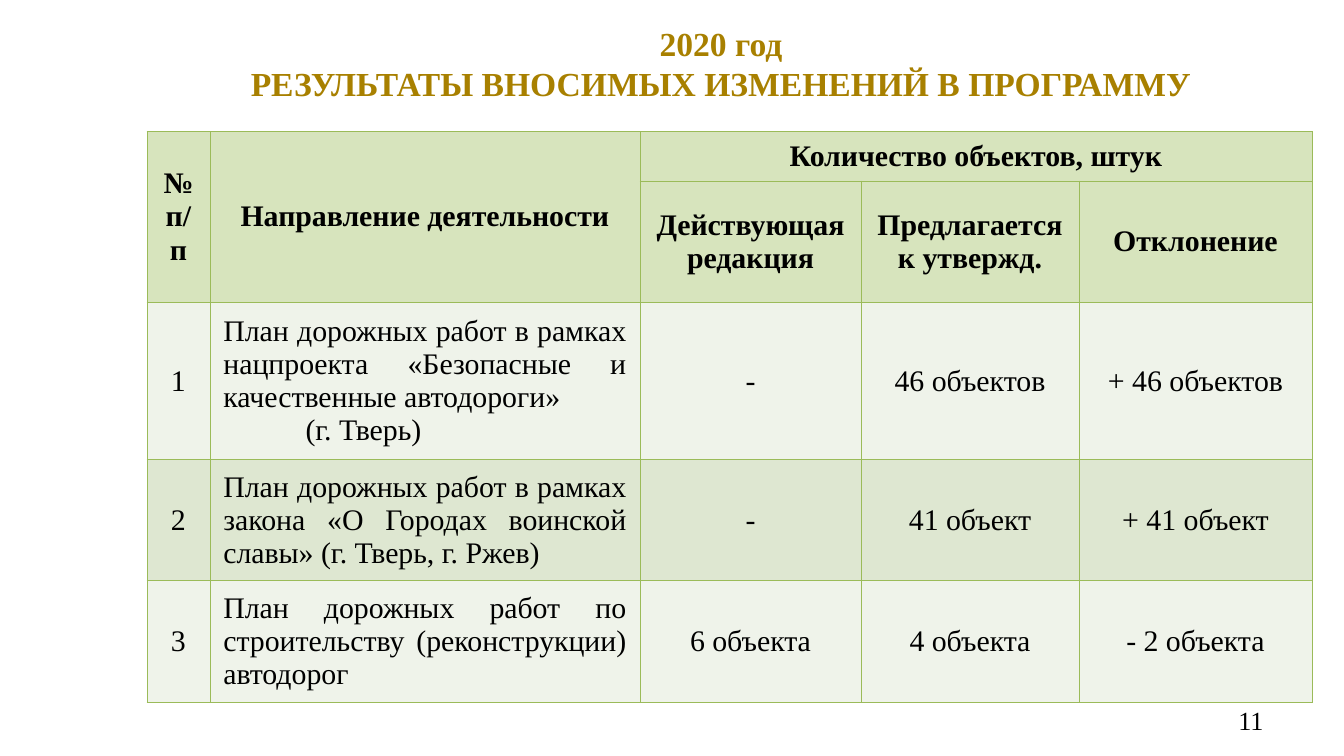
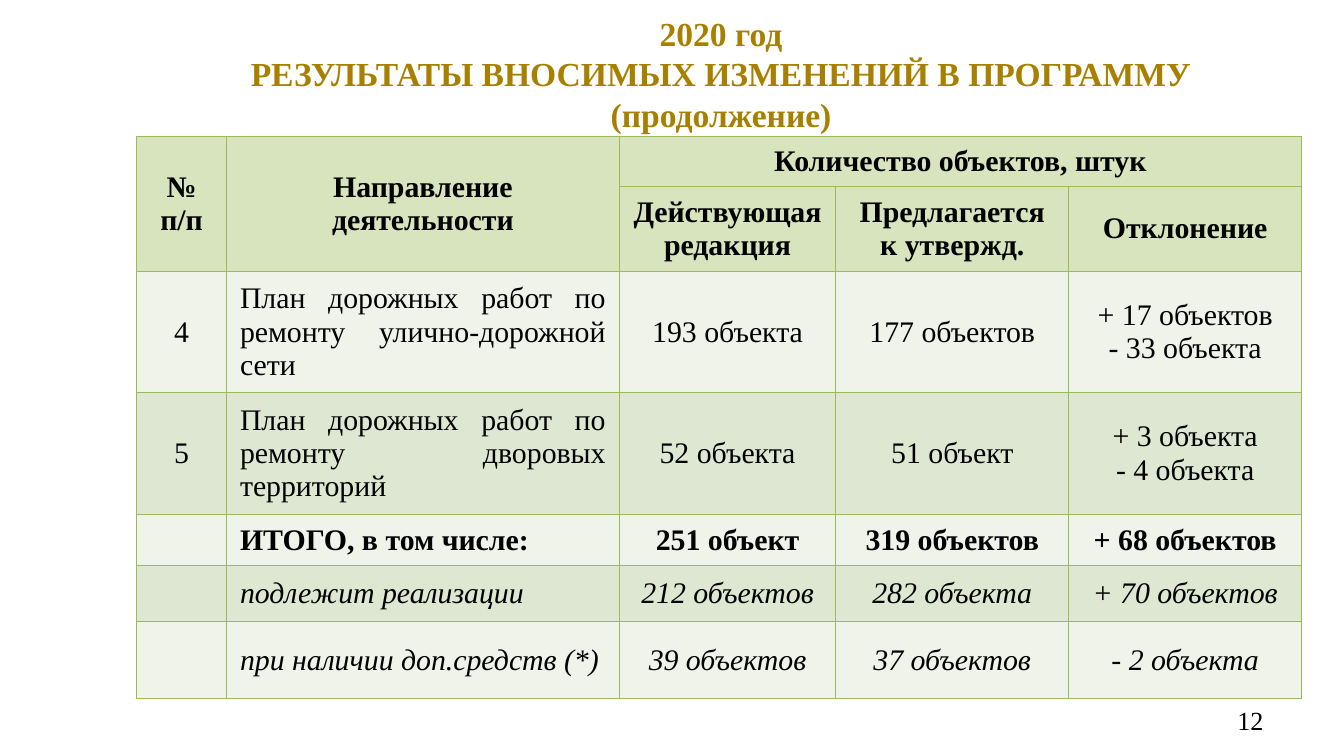
from lxml.etree import SubElement
from pptx import Presentation
from pptx.dml.color import RGBColor
from pptx.enum.text import MSO_ANCHOR, MSO_AUTO_SIZE, PP_ALIGN
from pptx.oxml.ns import qn
from pptx.util import Pt

FONT = "Times New Roman"
BLACK = "000000"
GOLD = "A88000"
HEADER_FILL = "D7E4BD"
BAND_FILLS = ("EFF3EA", "DEE7D1")
BORDER = "9BBB59"
BORDER_WIDTH = Pt(0.45)
HEADING = ["2020 год", "РЕЗУЛЬТАТЫ ВНОСИМЫХ ИЗМЕНЕНИЙ В ПРОГРАММУ"]
HEADER_ROWS = [
    ["№ п/п", "Направление деятельности", "Количество объектов, штук", "", ""],
    ["", "", "Действующая редакция", "Предлагается к утвержд.", "Отклонение"],
]
FIRST_PLANS = [
    ["1", "План дорожных работ в рамках нацпроекта «Безопасные и качественные автодороги»\n(г. Тверь)",
     "-", "46 объектов", "+ 46 объектов"],
    ["2", "План дорожных работ в рамках закона «О Городах воинской славы» (г. Тверь, г. Ржев)",
     "-", "41 объект", "+ 41 объект"],
    ["3", "План дорожных работ по строительству (реконструкции) автодорог",
     "6 объекта", "4 объекта", "- 2 объекта"],
]
LAST_PLANS = [
    ["4", "План дорожных работ по ремонту улично-дорожной сети",
     "193 объекта", "177 объектов", "+ 17 объектов\n- 33 объекта"],
    ["5", "План дорожных работ по ремонту дворовых территорий",
     "52 объекта", "51 объект", "+ 3 объекта\n- 4 объекта"],
    ["", "ИТОГО, в том числе:", "251 объект", "319 объектов", "+ 68 объектов"],
    ["", "подлежит реализации", "212 объектов", "282 объекта", "+ 70 объектов"],
    ["", "при наличии доп.средств (*)", "39 объектов", "37 объектов", "- 2 объекта"],
]


def color(value):
    """Turn a hex string into a colour."""
    return RGBColor.from_string(value)


def write_lines(frame, lines, size, align, ink=BLACK, bold=False, italic=False):
    """Write each line as a paragraph of one run."""
    for index, line in enumerate(lines):
        para = frame.add_paragraph() if index else frame.paragraphs[0]
        para.alignment = align
        span = para.add_run()
        span.text = line
        span.font.name = FONT
        span.font.size = Pt(size)
        span.font.bold = bold
        span.font.italic = italic
        span.font.color.rgb = color(ink)


def add_page(deck, number, heading, top, height):
    """Add a page with its title and page number."""
    page = deck.slides.add_slide(deck.slide_layouts[5])
    title = page.shapes.title
    title.left, title.top, title.width, title.height = Pt(78.5), Pt(top), Pt(615.6), Pt(height)
    box = page.shapes.add_textbox(Pt(516.2), Pt(375.1), Pt(167.8), Pt(21.6))
    for shape in (title, box):
        shape.text_frame.word_wrap = True
        shape.text_frame.auto_size = MSO_AUTO_SIZE.NONE
        shape.text_frame.vertical_anchor = MSO_ANCHOR.MIDDLE
    write_lines(title.text_frame, heading, 18, PP_ALIGN.CENTER, GOLD, bold=True)
    write_lines(box.text_frame, [number], 14, PP_ALIGN.RIGHT)
    return page


def style_cell(cell, fill):
    """Give a cell its borders, fill and anchor."""
    properties = cell._tc.get_or_add_tcPr()
    for side in ("a:lnL", "a:lnR", "a:lnT", "a:lnB"):
        line = SubElement(properties, qn(side), w=str(BORDER_WIDTH))
        SubElement(SubElement(line, qn("a:solidFill")), qn("a:srgbClr"), val=BORDER)
    cell.fill.solid()
    cell.fill.fore_color.rgb = color(fill)
    cell.vertical_anchor = MSO_ANCHOR.MIDDLE


def write_cell(cell, text, align, bold, italic):
    """Write a table cell, keeping the text size when it is empty."""
    if text:
        write_lines(cell.text_frame, text.split("\n"), 16, align, bold=bold, italic=italic)
    else:
        SubElement(cell.text_frame.paragraphs[0]._p, qn("a:endParaRPr"), sz="1600")


def add_plan_table(page, left, top, widths, heights, plans):
    """Add a table of plans under the shared two-row header."""
    rows = HEADER_ROWS + plans
    table = page.shapes.add_table(len(rows), len(widths), Pt(left), Pt(top),
                                  Pt(sum(widths)), Pt(sum(heights))).table
    for column, width in zip(table.columns, widths):
        column.width = Pt(width)
    for row, height in zip(table.rows, heights):
        row.height = Pt(height)
    for row_index, texts in enumerate(rows):
        is_header = row_index < len(HEADER_ROWS)
        is_summary = not is_header and not texts[0]
        is_total = is_summary and texts[1].startswith("ИТОГО")
        for column_index, text in enumerate(texts):
            cell = table.cell(row_index, column_index)
            align = PP_ALIGN.CENTER
            if column_index == 1 and not is_header:
                align = PP_ALIGN.LEFT if is_summary else PP_ALIGN.JUSTIFY
            style_cell(cell, HEADER_FILL if is_header else BAND_FILLS[row_index % 2])
            write_cell(cell, text, align, is_header or is_total, is_summary and not is_total)
    for column_index in (0, 1):
        table.cell(0, column_index).merge(table.cell(1, column_index))
    table.cell(0, 2).merge(table.cell(0, 4))
    return table


def main():
    """Build both pages and save the deck."""
    deck = Presentation()
    deck.slide_width, deck.slide_height = Pt(720), Pt(405)

    page = add_page(deck, "11", HEADING, 0, 67.7)
    table = add_plan_table(page, 78.7, 70.4, [33.8, 230.4, 118.4, 116.8, 124.8],
                           [26.6, 65, 84.2, 65, 65], FIRST_PLANS)
    city = table.cell(2, 1).text_frame.paragraphs[1]
    city._p.get_or_add_pPr().set("marL", str(Pt(44)))

    page = add_page(deck, "12", [HEADING[0], HEADING[1] + " (продолжение)"], 16.6, 45.4)
    add_plan_table(page, 73.2, 73.2, [48.2, 210.4, 116, 124.8, 124.8],
                   [26.6, 45.6, 65, 65, 27.8, 30, 41], LAST_PLANS)

    deck.save("out.pptx")


if __name__ == "__main__":
    main()
